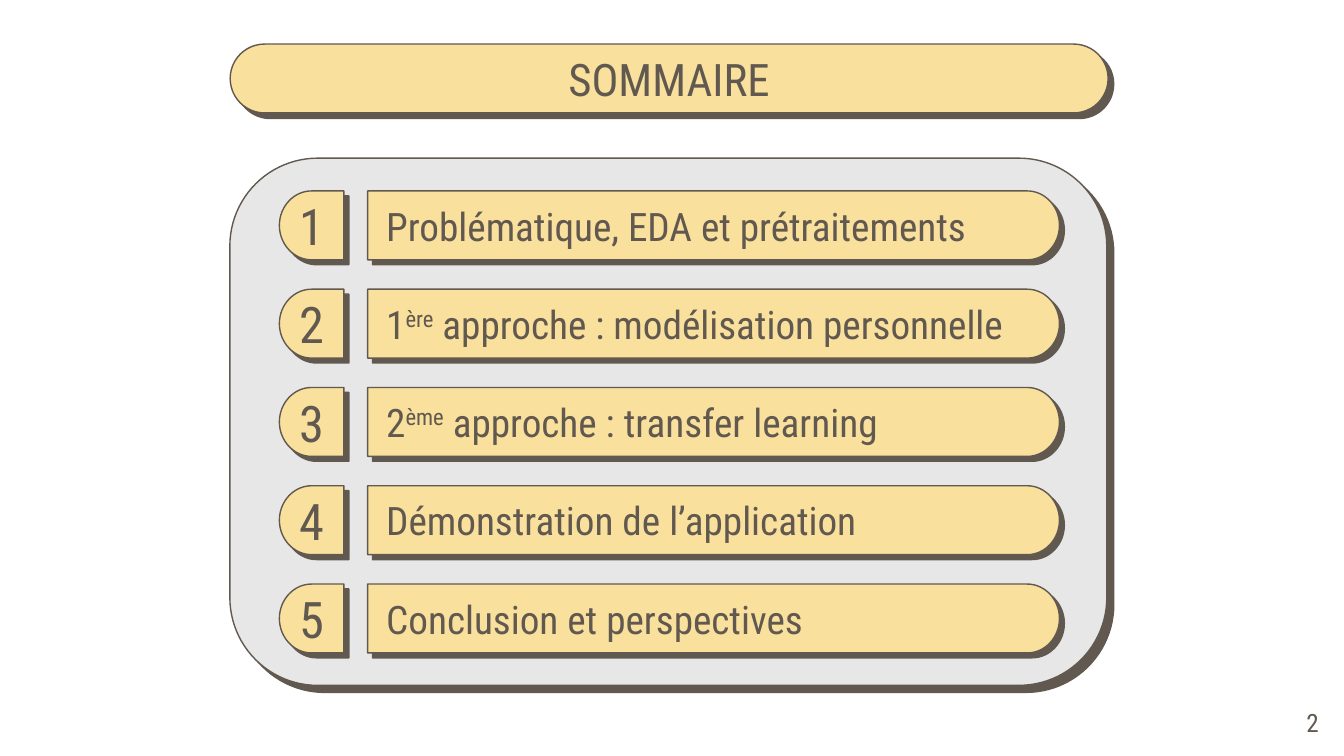
"""Build the agenda slide: a title pill above a panel of five numbered topics."""
from lxml.etree import SubElement
from pptx import Presentation
from pptx.dml.color import RGBColor
from pptx.enum.shapes import MSO_SHAPE
from pptx.enum.text import MSO_ANCHOR, PP_ALIGN
from pptx.oxml.ns import qn
from pptx.util import Pt

COLORS = {"brown": "61594F", "yellow": "F9E09D", "grey": "E7E7E7"}
TOPICS = [
    [("Problématique, EDA et prétraitements", False)],
    [("1", False), ("ère", True), (" approche : modélisation personnelle", False)],
    [("2", False), ("ème", True), (" approche : transfer learning", False)],
    [("Démonstration de l’application", False)],
    [("Conclusion et perspectives", False)],
]
ROW_TOP, ROW_PITCH, ROW_HEIGHT = 136.4, 70.2, 49.2
ARC_HANDLE = 0.55


def paint(shape, color):
    """Fill and outline a shape without its theme shadow."""
    shape.shadow.inherit = False
    shape.fill.solid()
    shape.fill.fore_color.rgb = RGBColor.from_string(COLORS[color])
    shape.line.color.rgb = RGBColor.from_string(COLORS["brown"])
    shape.line.width = Pt(1)


def write(shape, spans, size, align, inset=0):
    """Write (text, raised) spans as one vertically centred paragraph."""
    frame = shape.text_frame
    frame.word_wrap = True
    frame.vertical_anchor = MSO_ANCHOR.MIDDLE
    frame.margin_left = Pt(inset)
    frame.margin_right = frame.margin_top = frame.margin_bottom = 0
    para = frame.paragraphs[0]
    para.alignment = align
    para.font.name = "Roboto Condensed"
    para.font.size = Pt(size)
    para.font.color.rgb = RGBColor.from_string(COLORS["brown"])
    for text, raised in spans:
        span = para.add_run()
        span.text = text
        if raised:
            span._r.get_or_add_rPr().set("baseline", "30000")


deck = Presentation()
deck.slide_width, deck.slide_height = Pt(960), Pt(540)
page = deck.slides.add_slide(deck.slide_layouts[6])

for shift, color in ((5, "brown"), (0, "grey")):
    panel = page.shapes.add_shape(
        MSO_SHAPE.ROUNDED_RECTANGLE,
        Pt(164.2 + shift), Pt(113 + shift), Pt(626.4), Pt(376.6))
    paint(panel, color)

for shift, color in ((4, "brown"), (0, "yellow")):
    title = page.shapes.add_shape(
        MSO_SHAPE.ROUNDED_RECTANGLE,
        Pt(164.4 + shift), Pt(31.5 + shift), Pt(627.1), Pt(49.2))
    title.adjustments[0] = 0.5
    paint(title, color)
write(title, [("SOMMAIRE", False)], 32, PP_ALIGN.CENTER)

for number, topic in enumerate(TOPICS, start=1):
    top = ROW_TOP + (number - 1) * ROW_PITCH
    bottom, middle = top + ROW_HEIGHT, top + ROW_HEIGHT / 2
    rise = ARC_HANDLE * ROW_HEIGHT / 2
    pieces = [
        (262.6, 756.8, 23, topic, 28, PP_ALIGN.LEFT, 13.3),
        (245.7, 199.6, -23, [(str(number), False)], 36, PP_ALIGN.CENTER, 0),
    ]
    for flat, tip, radius, spans, size, align, inset in pieces:
        bend = tip - radius
        handle = bend + ARC_HANDLE * radius
        outline = [
            (bend, top),
            (handle, top), (tip, middle - rise), (tip, middle),
            (tip, middle + rise), (handle, bottom), (bend, bottom),
            (flat, bottom),
        ]
        for shift, color in ((3.5, "brown"), (0, "yellow")):
            builder = page.shapes.build_freeform(Pt(flat + shift), Pt(top + shift))
            builder.add_line_segments(
                [(Pt(x + shift), Pt(y + shift)) for x, y in outline])
            piece = builder.convert_to_shape()
            steps = list(piece._element.iter(qn("a:lnTo")))
            for first in (1, 4):
                curve = SubElement(steps[first].getparent(), qn("a:cubicBezTo"))
                steps[first].addprevious(curve)
                for step in steps[first:first + 3]:
                    curve.append(step[0])
                    step.getparent().remove(step)
            paint(piece, color)
        write(piece, spans, size, align, inset)

page_number = page.shapes.add_textbox(Pt(915.2), Pt(500.5), Pt(44.6), Pt(31.6))
write(page_number, [("2", False)], 18, PP_ALIGN.CENTER)

deck.save("out.pptx")
